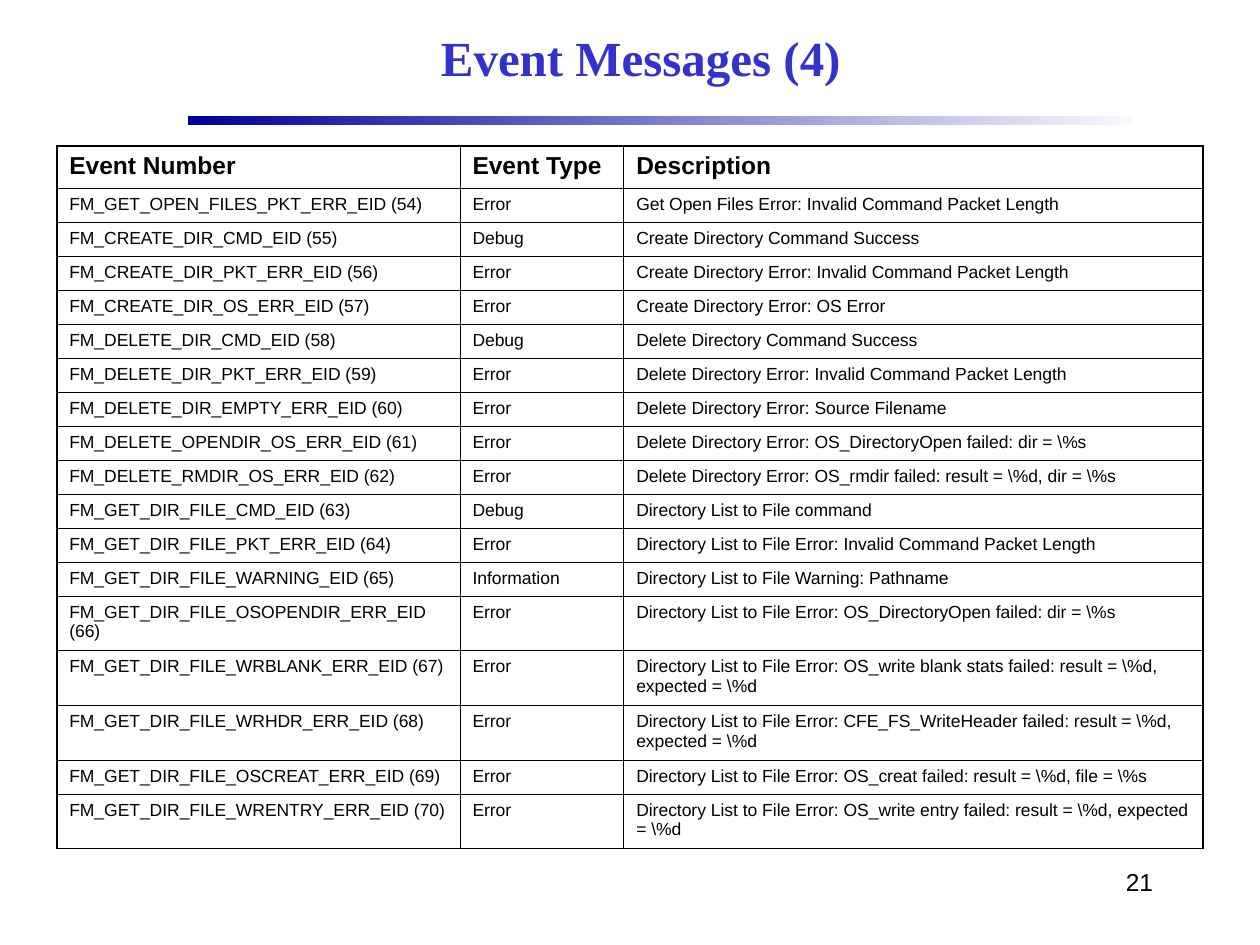
"""Build the event message table slide."""
import dataclasses

import lxml.etree
import pptx
import pptx.dml.color
import pptx.enum.shapes
import pptx.enum.text
import pptx.oxml.ns
import pptx.util

Inches = pptx.util.Inches
ALIGN = pptx.enum.text.PP_ALIGN
ANCHOR = pptx.enum.text.MSO_ANCHOR


@dataclasses.dataclass(frozen=True)
class Theme:
    ink: str = "000000"
    title: str = "3333CC"
    fade: tuple = ("000099", "F9F9FD")
    serif: str = "Times New Roman"
    sans: str = "Arial"
    big: int = 28
    mid: int = 14
    small: int = 10
    thin: float = 0.45
    thick: float = 1.08


THEME = Theme()
WIDTHS = (3.2, 1.3, 4.6)
HEAD_HIGH, LOW, HIGH = 0.33, 0.27, 0.43
TALL = (66, 67, 68, 70)
HEADS = ("Event Number", "Event Type", "Description")
FIRST = 54
EVENTS = (
    ("FM_GET_OPEN_FILES_PKT_ERR_EID", "Error", "Get Open Files Error: Invalid Command Packet Length"),
    ("FM_CREATE_DIR_CMD_EID", "Debug", "Create Directory Command Success"),
    ("FM_CREATE_DIR_PKT_ERR_EID", "Error", "Create Directory Error: Invalid Command Packet Length"),
    ("FM_CREATE_DIR_OS_ERR_EID", "Error", "Create Directory Error: OS Error"),
    ("FM_DELETE_DIR_CMD_EID", "Debug", "Delete Directory Command Success"),
    ("FM_DELETE_DIR_PKT_ERR_EID", "Error", "Delete Directory Error: Invalid Command Packet Length"),
    ("FM_DELETE_DIR_EMPTY_ERR_EID", "Error", "Delete Directory Error: Source Filename"),
    ("FM_DELETE_OPENDIR_OS_ERR_EID", "Error", r"Delete Directory Error: OS_DirectoryOpen failed: dir = \%s"),
    ("FM_DELETE_RMDIR_OS_ERR_EID", "Error", r"Delete Directory Error: OS_rmdir failed: result = \%d, dir = \%s"),
    ("FM_GET_DIR_FILE_CMD_EID", "Debug", "Directory List to File command"),
    ("FM_GET_DIR_FILE_PKT_ERR_EID", "Error", "Directory List to File Error: Invalid Command Packet Length"),
    ("FM_GET_DIR_FILE_WARNING_EID", "Information", "Directory List to File Warning: Pathname"),
    ("FM_GET_DIR_FILE_OSOPENDIR_ERR_EID", "Error",
     r"Directory List to File Error: OS_DirectoryOpen failed: dir = \%s"),
    ("FM_GET_DIR_FILE_WRBLANK_ERR_EID", "Error",
     r"Directory List to File Error: OS_write blank stats failed: result = \%d, expected = \%d"),
    ("FM_GET_DIR_FILE_WRHDR_ERR_EID", "Error",
     r"Directory List to File Error: CFE_FS_WriteHeader failed: result = \%d, expected = \%d"),
    ("FM_GET_DIR_FILE_OSCREAT_ERR_EID", "Error",
     r"Directory List to File Error: OS_creat failed: result = \%d, file = \%s"),
    ("FM_GET_DIR_FILE_WRENTRY_ERR_EID", "Error",
     r"Directory List to File Error: OS_write entry failed: result = \%d, expected = \%d"),
)


def color(code):
    return pptx.dml.color.RGBColor.from_string(code)


def write(frame, text, size, face=THEME.sans, ink=THEME.ink, bold=False, align=ALIGN.LEFT):
    frame.text = text
    frame.word_wrap = True
    line = frame.paragraphs[0]
    line.alignment = align
    font = line.runs[0].font
    font.name, font.size, font.bold = face, pptx.util.Pt(size), bold
    font.color.rgb = color(ink)


def add_title(slide, text):
    title = slide.shapes.title
    title.left, title.top = Inches(1.5), Inches(0.08)
    title.width, title.height = Inches(7.17), Inches(0.75)
    write(title.text_frame, text, THEME.big, THEME.serif, THEME.title, True, ALIGN.CENTER)
    title.text_frame.vertical_anchor = ANCHOR.MIDDLE


def add_rule(slide):
    rule = slide.shapes.add_shape(
        pptx.enum.shapes.MSO_SHAPE.RECTANGLE,
        Inches(1.49), Inches(0.92), Inches(7.49), Inches(0.07))
    rule.shadow.inherit = False
    rule.line.fill.background()
    rule.fill.gradient()
    rule.fill.gradient_angle = 0
    for stop, code in zip(rule.fill.gradient_stops, THEME.fade):
        stop.color.rgb = color(code)


def add_edges(cell, sides):
    tag = pptx.oxml.ns.qn
    props = cell._tc.get_or_add_tcPr()
    for spot, (side, width) in enumerate(sides.items()):
        edge = lxml.etree.Element(tag(f"a:ln{side}"), w=str(pptx.util.Pt(width)))
        fill = lxml.etree.SubElement(edge, tag("a:solidFill"))
        lxml.etree.SubElement(fill, tag("a:srgbClr"), val=THEME.ink)
        props.insert(spot, edge)


def add_grid(slide, rows, highs):
    frame = slide.shapes.add_table(
        len(rows), len(WIDTHS), Inches(0.45), Inches(1.16),
        Inches(sum(WIDTHS)), Inches(sum(highs)))
    grid = frame.table
    grid.horz_banding = False
    for column, width in zip(grid.columns, WIDTHS):
        column.width = Inches(width)
    last = len(WIDTHS) - 1
    for r, (row, high) in enumerate(zip(rows, highs)):
        grid.rows[r].height = Inches(high)
        for c, text in enumerate(row):
            cell = grid.cell(r, c)
            head = r == 0
            write(cell.text_frame, text, THEME.mid if head else THEME.small, bold=head)
            cell.fill.background()
            outer = {"L": c == 0, "R": c == last, "T": head, "B": False}
            add_edges(cell, {side: THEME.thick if out else THEME.thin
                             for side, out in outer.items()})


def add_page(slide, text):
    box = slide.shapes.add_textbox(Inches(7.17), Inches(6.83), Inches(2.08), Inches(0.5))
    write(box.text_frame, text, THEME.mid, align=ALIGN.RIGHT)


def main():
    deck = pptx.Presentation()
    deck.slide_width, deck.slide_height = Inches(10), Inches(7.5)
    slide = deck.slides.add_slide(deck.slide_layouts[5])
    rows, highs = [HEADS], [HEAD_HIGH]
    for number, (name, kind, note) in enumerate(EVENTS, FIRST):
        rows.append((f"{name} ({number})", kind, note))
        highs.append(HIGH if number in TALL else LOW)
    add_rule(slide)
    add_page(slide, "21")
    add_title(slide, "Event Messages (4)")
    add_grid(slide, rows, highs)
    deck.save("out.pptx")


if __name__ == "__main__":
    main()
